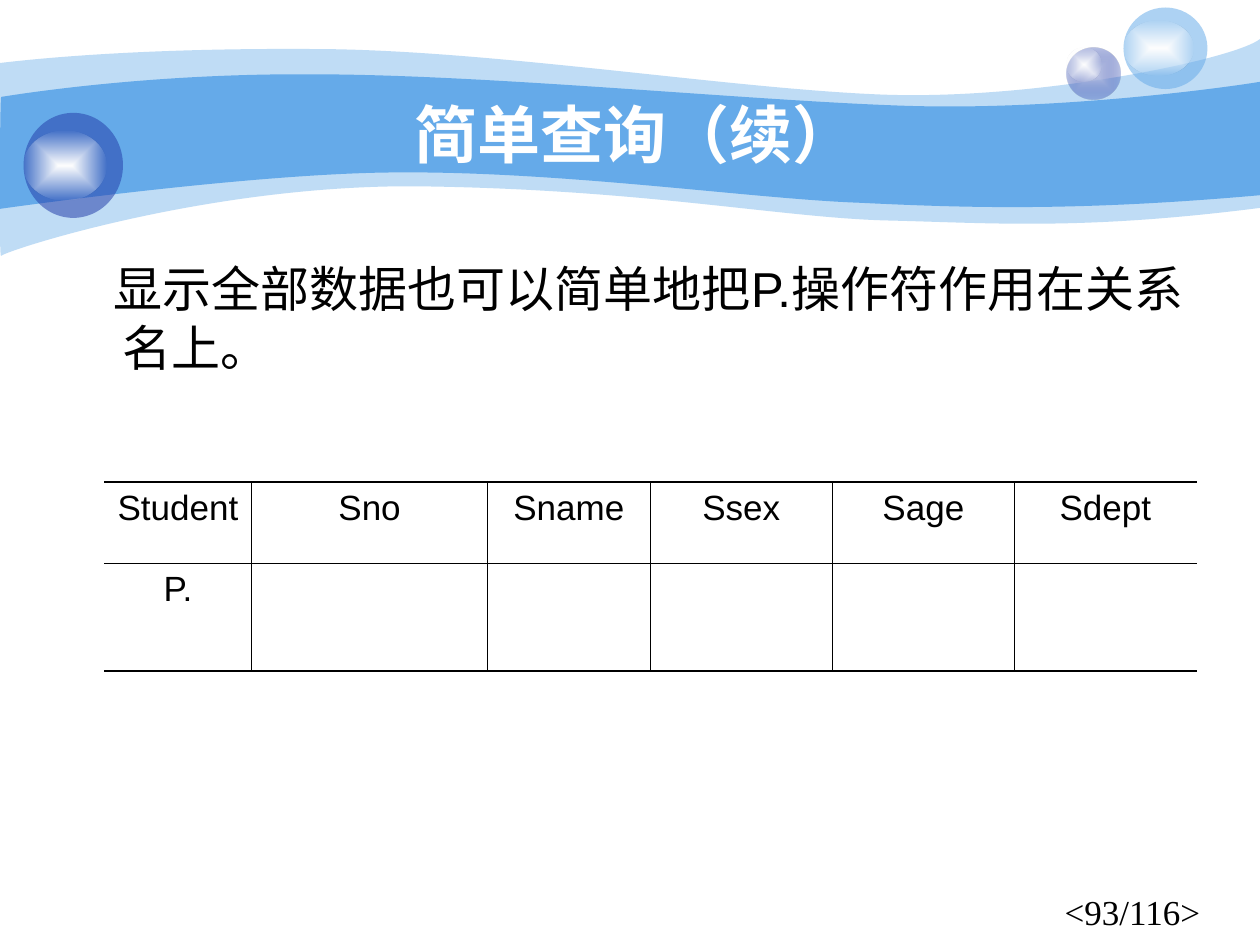
"""Build the slide on simple queries with its wave banner and query table."""
from dataclasses import dataclass
from itertools import product

from lxml.etree import SubElement
from pptx import Presentation
from pptx.dml.color import RGBColor
from pptx.enum.shapes import MSO_SHAPE
from pptx.enum.text import MSO_ANCHOR, PP_ALIGN
from pptx.oxml.ns import qn
from pptx.util import Pt


@dataclass(frozen=True)
class Theme:
    """Colours, fonts and type sizes."""
    sky: str = "65AAE9"
    navy: str = "233DA9"
    mist: str = "C7CEE9"
    white: str = "FFFFFF"
    ink: str = "000000"
    sans: str = "Arial"
    serif: str = "Times New Roman"
    title: float = 36
    body: float = 28
    small: float = 20
    thick: float = 1.08
    thin: float = 0.45


@dataclass(frozen=True)
class Box:
    """A rectangle in points."""
    left: float
    top: float
    width: float
    height: float

    def emu(self) -> tuple:
        """Return the four lengths for python-pptx."""
        return Pt(self.left), Pt(self.top), Pt(self.width), Pt(self.height)


@dataclass(frozen=True)
class Tint:
    """A colour with its opacity in percent."""
    color: str
    opacity: int = 100


@dataclass(frozen=True)
class Wave:
    """A closed outline; a segment of one point is straight, of three is cubic."""
    start: tuple
    segments: tuple
    tint: Tint


@dataclass(frozen=True)
class Bubble:
    """An ellipse with one tint, or two running from centre to rim."""
    box: Box
    tints: tuple


THEME = Theme()
GLOW = (Tint(THEME.white), Tint(THEME.white, 0))
WAVES = (
    Wave((0, 36), (
        ((17, 34), (77, 27.4), (178, 28)),
        ((278, 28), (414, 50.4), (503, 54)),
        ((592, 57.6), (705.6, 33.8), (720, 22.3)),
        ((720, 118.8),),
        ((618, 131.8), (566.6, 127.4), (507.6, 126)),
        ((448, 124.6), (371, 108.7), (247, 106.6)),
        ((124, 103.7), (2.9, 143.3), (0.7, 146.2)),
        ((-0.7, 149.8), (0, 54), (0, 36)),
    ), Tint(THEME.sky, 41)),
    Wave((0.7, 55.4), (
        ((1.4, 55.4), (79.2, 41.8), (178.6, 42.5)),
        ((278, 42.5), (428.4, 57.6), (517, 60.5)),
        ((605.5, 63.4), (702.7, 49.7), (720, 46.8)),
        ((720, 111.6),),
        ((614.2, 121), (550.8, 118.8), (491, 115.9)),
        ((431.3, 113.8), (321.8, 97.9), (228.2, 98.6)),
        ((146.2, 98.6), (-1.4, 119.5), (-0.7, 119.5)),
        ((0, 119.5), (0, 55.4), (0.7, 55.4)),
    ), Tint(THEME.sky)),
)
BUBBLES = (
    Bubble(Box(609.4, 27, 31, 29.5), (Tint(THEME.mist), Tint(THEME.navy, 31))),
    Bubble(Box(609.4, 27, 20, 19.5), GLOW),
    Bubble(Box(642, 4.3, 48, 46.6), (Tint(THEME.sky, 53),)),
    Bubble(Box(642, 12, 40, 31), GLOW),
    Bubble(Box(13.5, 64.5, 56.8, 60), (Tint(THEME.navy, 53),)),
    Bubble(Box(13.5, 74.5, 47.5, 40), GLOW),
)
TABLE_BOX = Box(59.6, 275.5, 624.2, 108)
COLUMN_WIDTHS = (84.2, 134.8, 93, 104.1, 104, 104.1)
ROW_HEIGHTS = (46.4, 61.6)
QUERY_ROWS = (
    ("Student", "Sno", "Sname", "Ssex", "Sage", "Sdept"),
    ("P.", "", "", "", "", ""),
)


def add_color(parent, tint: Tint) -> None:
    """Append a colour, with its opacity where it is not solid."""
    color = SubElement(parent, qn("a:srgbClr"), val=tint.color)
    if tint.opacity < 100:
        SubElement(color, qn("a:alpha"), val=str(tint.opacity * 1000))


def paint(shape, tints: tuple) -> None:
    """Fill a shape plainly or from centre to rim, with no line or shadow."""
    shape.shadow.inherit = False
    shape.line.fill.background()
    if len(tints) == 1:
        shape.fill.solid()
        add_color(shape._element.spPr.find(qn("a:solidFill")), tints[0])
        return
    shape.fill.gradient()
    fill = shape._element.spPr.find(qn("a:gradFill"))
    for child in list(fill):
        fill.remove(child)
    stops = SubElement(fill, qn("a:gsLst"))
    for position, tint in zip(("0", "100000"), tints):
        add_color(SubElement(stops, qn("a:gs"), pos=position), tint)
    center = SubElement(fill, qn("a:path"), path="rect")
    SubElement(center, qn("a:fillToRect"), dict.fromkeys("ltrb", "50000"))


def draw_wave(slide, wave: Wave) -> None:
    """Draw a wave, bending its outline into cubic curves."""
    builder = slide.shapes.build_freeform(*map(Pt, wave.start))
    builder.add_line_segments([tuple(map(Pt, segment[-1])) for segment in wave.segments])
    outline = builder.convert_to_shape()
    sides = list(outline._element.iter(qn("a:lnTo")))
    for side, segment in zip(sides, wave.segments):
        if len(segment) == 3:
            side.tag = qn("a:cubicBezTo")
            for child in list(side):
                side.remove(child)
            for x, y in segment:
                SubElement(side, qn("a:pt"), x=str(Pt(x) - outline.left), y=str(Pt(y) - outline.top))
    SubElement(sides[-1].getparent(), qn("a:close"))
    paint(outline, (wave.tint,))


def draw_bubble(slide, bubble: Bubble) -> None:
    """Draw one bubble or its highlight."""
    paint(slide.shapes.add_shape(MSO_SHAPE.OVAL, *bubble.box.emu()), bubble.tints)


def write_text(frame, text: str, *, size: float, color: str = THEME.ink, font: str = THEME.sans,
               bold: bool = False, align=PP_ALIGN.LEFT, anchor=MSO_ANCHOR.TOP,
               margin: float = 0, indent: float = 0) -> None:
    """Write one formatted paragraph into a text frame."""
    frame.word_wrap = True
    frame.vertical_anchor = anchor
    paragraph = frame.paragraphs[0]
    paragraph.alignment = align
    paragraph.space_before = Pt(0)
    properties = paragraph._p.get_or_add_pPr()
    properties.set("marL", str(Pt(margin)))
    properties.set("indent", str(Pt(indent)))
    run = paragraph.add_run()
    run.text = text
    run.font.name, run.font.size, run.font.bold = font, Pt(size), bold
    run.font.color.rgb = RGBColor.from_string(color)


def set_borders(cell, widths: dict) -> None:
    """Draw the four borders of a cell; a width of zero hides one."""
    properties = cell._tc.get_or_add_tcPr()
    for order, (side, width) in enumerate(widths.items()):
        border = SubElement(properties, qn(f"a:ln{side}"), w=str(Pt(width)))
        properties.insert(order, border)
        if width:
            add_color(SubElement(border, qn("a:solidFill")), Tint(THEME.ink))
        else:
            SubElement(border, qn("a:noFill"))


def draw_table(slide) -> None:
    """Draw the query table, open at its left and right."""
    last_row, last_column = len(ROW_HEIGHTS) - 1, len(COLUMN_WIDTHS) - 1
    table = slide.shapes.add_table(last_row + 1, last_column + 1, *TABLE_BOX.emu()).table
    table.first_row = table.horz_banding = False
    for column, width in zip(table.columns, COLUMN_WIDTHS):
        column.width = Pt(width)
    for row, height in zip(table.rows, ROW_HEIGHTS):
        row.height = Pt(height)
    for r, c in product(range(last_row + 1), range(last_column + 1)):
        cell = table.cell(r, c)
        cell.fill.background()
        set_borders(cell, {
            "L": THEME.thin if c > 0 else 0, "R": THEME.thin if c < last_column else 0,
            "T": THEME.thin if r > 0 else THEME.thick, "B": THEME.thin if r < last_row else THEME.thick,
        })
        if QUERY_ROWS[r][c]:
            write_text(cell.text_frame, QUERY_ROWS[r][c], size=THEME.small, align=PP_ALIGN.CENTER)


def main() -> None:
    """Build and save the slide."""
    deck = Presentation()
    deck.slide_width, deck.slide_height = Pt(720), Pt(540)
    slide = deck.slides.add_slide(deck.slide_layouts[5])
    for wave in WAVES:
        draw_wave(slide, wave)
    for bubble in BUBBLES:
        draw_bubble(slide, bubble)
    page_number = slide.shapes.add_textbox(*Box(601.3, 505.1, 110, 34.8).emu())
    write_text(page_number.text_frame, "<93/116>", size=THEME.small, font=THEME.serif)
    title = slide.shapes.title
    title.left, title.top, title.width, title.height = Box(72, 54, 582, 44.6).emu()
    slide.shapes._spTree.append(title._element)
    write_text(title.text_frame, "简单查询（续）", size=THEME.title, color=THEME.white, bold=True,
               align=PP_ALIGN.CENTER, anchor=MSO_ANCHOR.MIDDLE)
    statement = slide.shapes.add_textbox(*Box(36, 144, 647.2, 114.5).emu())
    write_text(statement.text_frame, "显示全部数据也可以简单地把P.操作符作用在关系名上。",
               size=THEME.body, align=PP_ALIGN.JUSTIFY, margin=27, indent=-5.4)
    draw_table(slide)
    deck.save("out.pptx")


if __name__ == "__main__":
    main()
